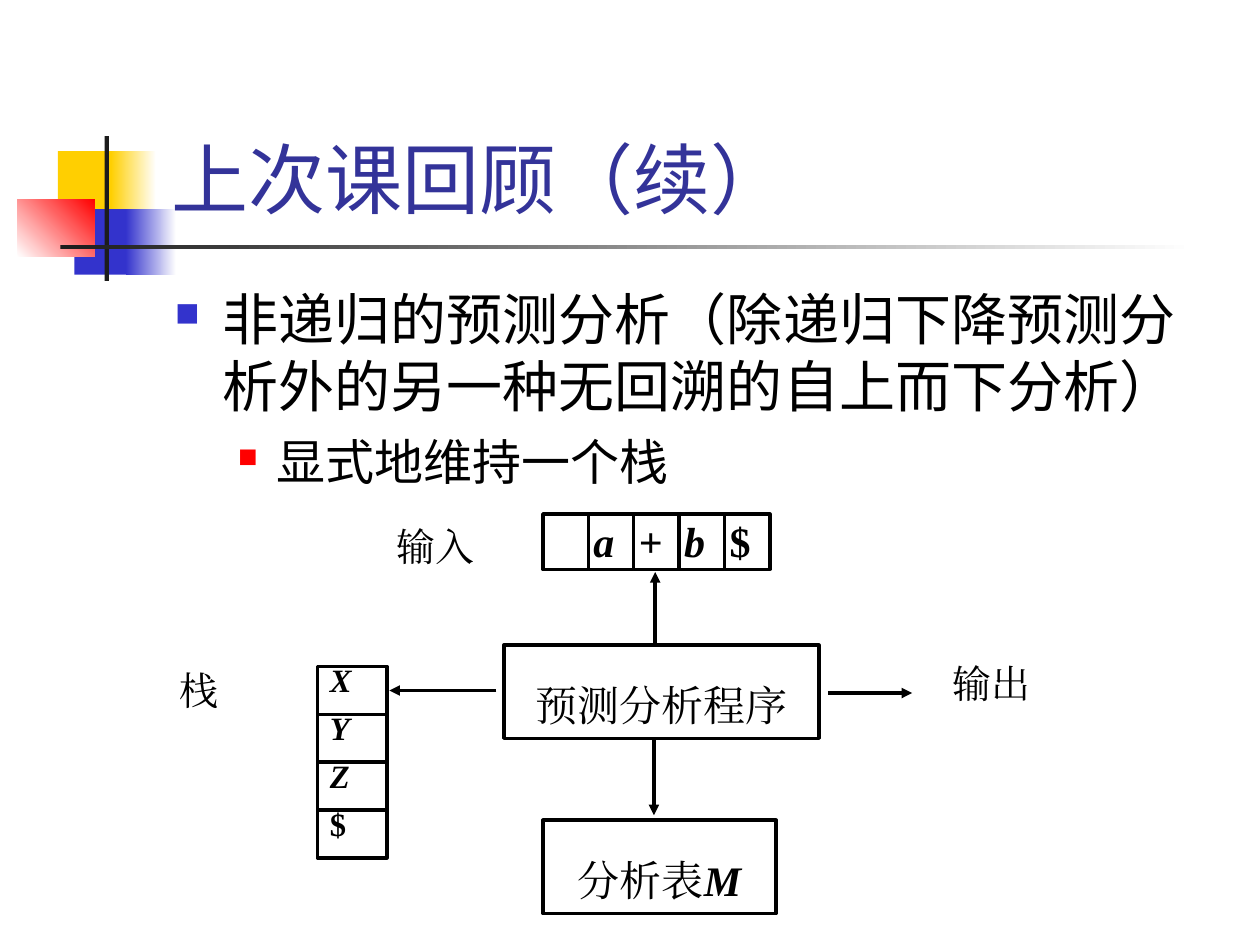
from lxml.etree import SubElement
from pptx import Presentation
from pptx.dml.color import RGBColor
from pptx.enum.shapes import MSO_CONNECTOR, MSO_SHAPE
from pptx.enum.text import MSO_ANCHOR, MSO_AUTO_SIZE, PP_ALIGN
from pptx.oxml.ns import qn
from pptx.util import Inches, Pt

COLORS = {
    "white": "FFFFFF", "black": "000000", "charcoal": "1C1C1C", "title": "333399",
    "yellow": "FFCF01", "blue": "3333CC", "red": "FF0000",
}
SANS, SERIF = "Roboto", "Times New Roman"
COLUMNS, ROWS = 100, 75


class SlideBuilder:
    """Draws on one slide; every place is given in columns and rows of the grid."""

    def __init__(self, deck):
        self.column = deck.slide_width / COLUMNS
        self.row = deck.slide_height / ROWS
        self.slide = deck.slides.add_slide(deck.slide_layouts[5])
        self.shapes = self.slide.shapes

    def place(self, left, top, width, height):
        return (round(left * self.column), round(top * self.row),
                round(width * self.column), round(height * self.row))

    def color(self, name):
        return RGBColor.from_string(COLORS[name])

    def format_span(self, span, size, font, color="black", bold=False, italic=False):
        span.font.size = Pt(size)
        span.font.bold, span.font.italic = bold, italic
        span.font.color.rgb = self.color(color)
        span.font.name = font
        SubElement(span._r.get_or_add_rPr(), qn("a:ea"), typeface=font)

    def frame(self, shape, insets=(0.1, 0.05, 0.1, 0.05), anchor=MSO_ANCHOR.TOP):
        frame = shape.text_frame
        frame.word_wrap = True
        frame.auto_size = MSO_AUTO_SIZE.NONE
        frame.vertical_anchor = anchor
        (frame.margin_left, frame.margin_top,
         frame.margin_right, frame.margin_bottom) = map(Inches, insets)
        return frame

    def title(self, text, *area):
        title = self.shapes.title
        title.left, title.top, title.width, title.height = self.place(*area)
        frame = self.frame(title, anchor=MSO_ANCHOR.BOTTOM)
        frame.text = text
        para = frame.paragraphs[0]
        para.alignment = PP_ALIGN.LEFT
        self.format_span(para.runs[0], 44, SANS, "title")
        self.shapes.element.append(title.element)  # bring in front of the ornament

    def rectangle(self, *area):
        box = self.shapes.add_shape(MSO_SHAPE.RECTANGLE, *self.place(*area))
        box.shadow.inherit = False
        return box

    def block(self, area, start, end=None, angle=0):
        """A borderless rectangle, plain or fading from start to end."""
        block = self.rectangle(*area)
        block.line.fill.background()
        if end is None:
            block.fill.solid()
            block.fill.fore_color.rgb = self.color(start)
            return
        block.fill.gradient()
        block.fill.gradient_angle = angle
        for stop, name in zip(block.fill.gradient_stops, (start, end)):
            stop.color.rgb = self.color(name)

    def bullets(self, area, items):
        frame = self.frame(self.shapes.add_textbox(*self.place(*area)))
        for number, (text, size, indent, hang, color, percent) in enumerate(items):
            para = frame.add_paragraph() if number else frame.paragraphs[0]
            para.text = text
            para.level = number
            if number:
                para.space_before = Pt(7)
            properties = para._p.get_or_add_pPr()
            properties.set("marL", str(Inches(indent)))
            properties.set("indent", str(-Inches(hang)))
            SubElement(SubElement(properties, qn("a:buClr")), qn("a:srgbClr"),
                       val=COLORS[color])
            SubElement(properties, qn("a:buSzPct"), val=str(percent * 1000))
            SubElement(properties, qn("a:buChar"), char="■")
            self.format_span(para.runs[0], size, SANS)

    def add_spans(self, frame, spans, size, spacing=1.0, align=PP_ALIGN.LEFT):
        """Fill one paragraph with (text, bold, italic) spans."""
        para = frame.paragraphs[0]
        para.alignment = align
        para.line_spacing = spacing
        for text, bold, italic in spans:
            span = para.add_run()
            span.text = text
            self.format_span(span, size, SERIF, bold=bold, italic=italic)

    def outlined(self, area, spans, size, insets, spacing=1.0, align=PP_ALIGN.LEFT):
        box = self.rectangle(*area)
        box.fill.background()
        box.line.color.rgb = self.color("black")
        box.line.width = Pt(2)
        self.add_spans(self.frame(box, insets), spans, size, spacing, align)

    def symbol(self, area, text, *style):
        """An outlined cell with one bold symbol; letters are italic."""
        spans = [(text, True, text.isalpha())] if text else []
        self.outlined(area, spans, *style)

    def label(self, text, *area):
        box = self.shapes.add_textbox(*self.place(*area))
        self.add_spans(self.frame(box), [(text, False, False)], 22.2, 0.9)

    def arrow(self, start_column, start_row, end_column, end_row):
        start = self.place(start_column, start_row, 0, 0)[:2]
        end = self.place(end_column, end_row, 0, 0)[:2]
        arrow = self.shapes.add_connector(MSO_CONNECTOR.STRAIGHT, *start, *end)
        arrow.line.color.rgb = self.color("black")
        arrow.line.width = Pt(2)
        properties = arrow._element.spPr
        SubElement(properties.find(qn("a:ln")), qn("a:tailEnd"), type="triangle")
        SubElement(properties, qn("a:effectLst"))


def draw_ornament(page):
    page.block((4.6, 12, 4.8, 5.2), "yellow")
    page.block((8.8, 12, 3.6, 5.2), "yellow", "white")
    page.block((5.9, 16.6, 4.6, 5.2), "blue")
    page.block((10, 16.6, 4, 5.2), "blue", "white")
    page.block((1.4, 15.8, 6.1, 4.6), "white", "red", angle=45)
    page.block((8.3, 10.8, 0.35, 11.5), "charcoal")
    page.block((4.8, 19.45, 90, 0.35), "charcoal", "white")


def draw_parser(page):
    for index, text in enumerate(["", "a", "+", "b", "$"]):
        page.symbol((43.1 + 3.6 * index, 40.8, 3.6, 4.4), text,
                    24, (0.04, 0.01, 0.02, 0.01))
    for index, text in enumerate("XYZ$"):
        page.symbol((25.2, 52.9 + 3.8 * index, 5.5, 3.8), text,
                    18.6, (0.1, 0.01, 0.1, 0.05), 0.8)

    box_style = (24, (0.1, 0.11, 0.1, 0.05), 1.4, PP_ALIGN.CENTER)
    page.outlined((40, 51.2, 25, 7.4), [("预测分析程序", False, False)], *box_style)
    page.outlined((43.1, 65.1, 18.5, 7.4),
                  [("分析表", False, False), ("M", True, True)], *box_style)

    page.label("输入", 30.5, 41.4, 9.7, 4.8)
    page.label("输出", 74.6, 52.3, 9.6, 4.9)
    page.label("栈", 13.3, 52.8, 8.9, 4.9)

    page.arrow(52, 51.1, 52, 45.4)
    page.arrow(51.9, 58.6, 51.9, 64.7)
    page.arrow(65.7, 55, 72.4, 55)
    page.arrow(39.4, 54.8, 30.9, 54.8)


def main():
    deck = Presentation()
    deck.slide_width, deck.slide_height = Inches(10), Inches(7.5)
    page = SlideBuilder(deck)
    draw_ornament(page)
    page.title("上次课回顾（续）", 12.6, 2.3, 85.2, 16)
    page.bullets((12.9, 22.1, 85, 45), [
        ("非递归的预测分析（除递归下降预测分析外的另一种无回溯的自上而下分析）",
         32, 0.38, 0.38, "blue", 60),
        ("显式地维持一个栈", 28, 0.81, 0.31, "red", 55),
    ])
    draw_parser(page)
    deck.save("out.pptx")


if __name__ == "__main__":
    main()
